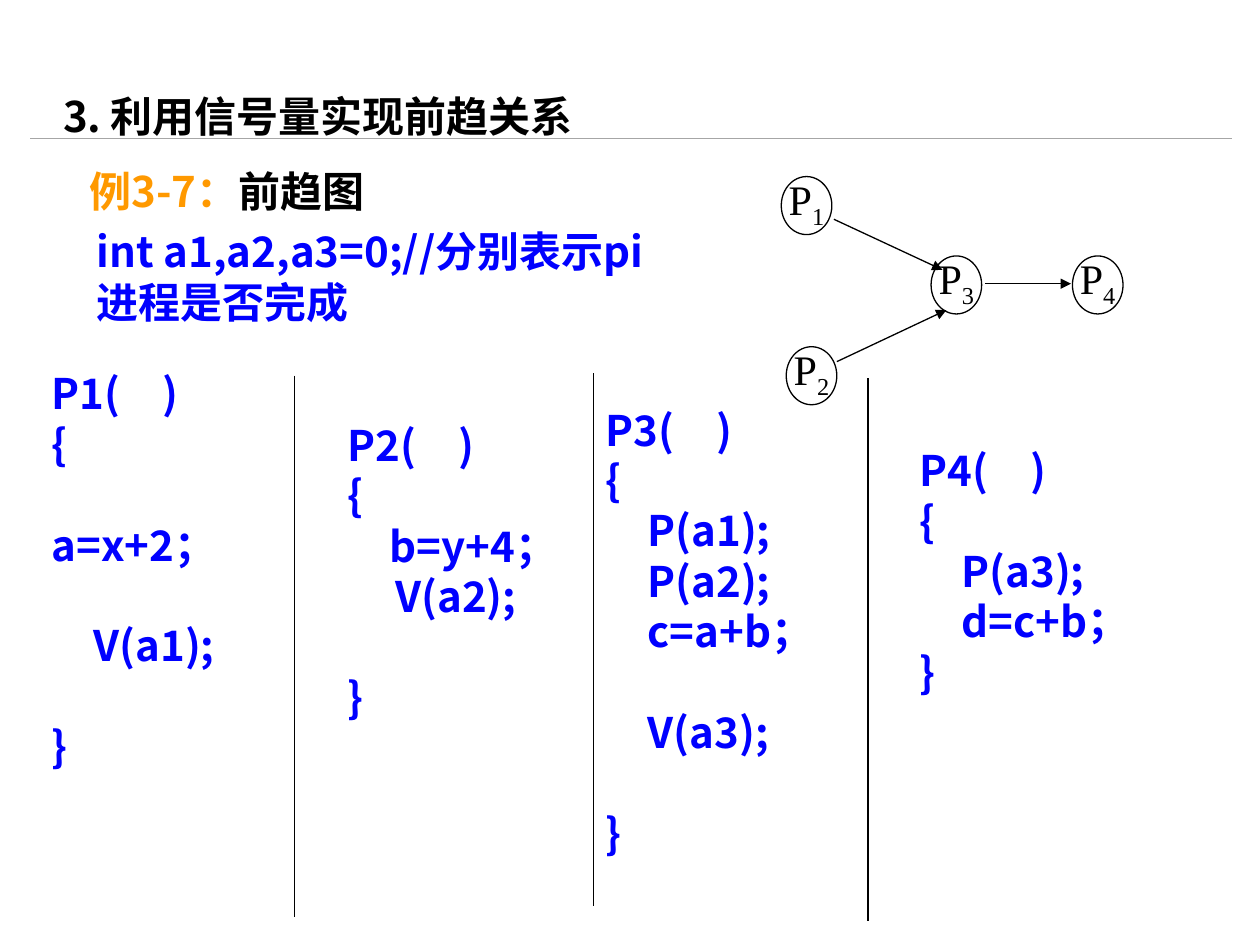
from dataclasses import dataclass

from lxml import etree
from pptx import Presentation
from pptx.dml.color import RGBColor
from pptx.enum import shapes, text
from pptx.oxml.ns import qn
from pptx.util import Cm, Pt

COLORS = {"black": "000000", "blue": "0000FF", "orange": "FF9900",
          "gray": "A6A6A6", "white": "FFFFFF"}
SANS = "Noto Sans CJK SC"
SERIF = "Times New Roman"
LINE = 28.8  # line pitch of the sans text, in points
DROP = 0.1   # lowers the sans text to its baseline, in cm


@dataclass
class Line:
    code: str
    skip: int = 0  # empty lines above


@dataclass
class Process:
    left: float
    top: float
    width: float
    height: float
    lines: list[Line]


@dataclass
class Node:
    number: str
    left: float
    top: float


@dataclass
class Segment:
    x1: float
    y1: float
    x2: float
    y2: float
    color: str = "black"
    arrow: bool = False


PROCESSES = [
    Process(0.79, 7.19, 4.8, 8.38, [
        Line("P1(　)"), Line("{"), Line("a=x+2；", 1), Line("　V(a1);", 1), Line("}", 1)]),
    Process(6.76, 8.74, 6.17, 5.33, [
        Line("P2(　)"), Line("{"), Line("　b=y+4；"), Line("     V(a2);"), Line("}", 1)]),
    Process(11.96, 7.92, 6.81, 9.4, [
        Line("P3(　)"), Line("{"), Line("　P(a1);"), Line("　P(a2);"),
        Line("　c=a+b；"), Line("　V(a3);", 1), Line("}", 1)]),
    Process(18.29, 7.72, 5.82, 7.37, [
        Line("P4(　)"), Line("{"), Line("　P(a3);"), Line("　d=c+b；"), Line("}")]),
]
NODES = [Node("1", 15.75, 3.56), Node("2", 15.85, 6.99),
         Node("3", 18.77, 5.16), Node("4", 21.62, 5.16)]
SEGMENTS = [
    Segment(0.61, 2.79, 24.84, 2.79, "gray"),
    Segment(16.81, 4.42, 19, 5.44, arrow=True),
    Segment(16.87, 7.29, 19.08, 6.25, arrow=True),
    Segment(19.86, 5.72, 21.59, 5.72, arrow=True),
    Segment(5.94, 7.57, 5.94, 18.49),
    Segment(11.96, 7.52, 11.96, 18.26),
    Segment(17.5, 7.62, 17.5, 18.57),
]


def rgb(name: str) -> RGBColor:
    return RGBColor.from_string(COLORS[name])


def place(shape, left: float, top: float, width: float, height: float) -> None:
    shape.left, shape.top, shape.width, shape.height = map(Cm, (left, top, width, height))


def prepare(shape, *, anchor=text.MSO_ANCHOR.MIDDLE, left_inset: float = 0.25):
    frame = shape.text_frame
    frame.word_wrap = True
    frame.auto_size = text.MSO_AUTO_SIZE.NONE
    frame.vertical_anchor = anchor
    frame.margin_left, frame.margin_right = Cm(left_inset), Cm(0.25)
    frame.margin_top = frame.margin_bottom = Cm(0.13)
    return frame


def write(paragraph, content: str, *, color: str = "black", font: str = SANS,
          bold: bool = True, baseline: int = 0) -> None:
    run = paragraph.add_run()
    run.text = content
    run.font.size = Pt(24)
    run.font.bold = bold
    run.font.name = font
    run.font.color.rgb = rgb(color)
    etree.SubElement(run.font._element, qn("a:ea")).set("typeface", font)
    if baseline:
        run.font._element.set("baseline", str(baseline))


def space(paragraph, skip: int = 0) -> None:
    """Left-align without bullet, with fixed line pitch and skipped lines above."""
    properties = paragraph._p.get_or_add_pPr()
    properties.set("marL", "0")
    properties.set("indent", "0")
    etree.SubElement(properties, qn("a:buNone"))
    paragraph.alignment = text.PP_ALIGN.LEFT
    paragraph.line_spacing = Pt(LINE)
    paragraph.space_before = Pt(LINE * skip)
    paragraph.space_after = Pt(0)


def draw_process(slide, process: Process) -> None:
    box = slide.shapes.add_textbox(0, 0, 0, 0)
    place(box, process.left, process.top + DROP, process.width, process.height)
    frame = prepare(box)
    for index, line in enumerate(process.lines):
        paragraph = frame.add_paragraph() if index else frame.paragraphs[0]
        space(paragraph, line.skip)
        write(paragraph, line.code, color="blue")


def draw_node(slide, node: Node) -> None:
    circle = slide.shapes.add_shape(shapes.MSO_SHAPE.OVAL, 0, 0, 0, 0)
    place(circle, node.left, node.top, 1.02, 1.17)
    circle.shadow.inherit = False
    circle.fill.solid()
    circle.fill.fore_color.rgb = rgb("white")
    circle.line.color.rgb = rgb("black")
    circle.line.width = Pt(0.75)
    label = slide.shapes.add_textbox(0, 0, 0, 0)
    place(label, node.left - 0.1, node.top - 0.2, 1.73, 1.57)
    paragraph = prepare(label, anchor=text.MSO_ANCHOR.TOP).paragraphs[0]
    paragraph.alignment = text.PP_ALIGN.JUSTIFY
    write(paragraph, "P", font=SERIF, bold=False)
    write(paragraph, node.number, font=SERIF, bold=False, baseline=-25000)


def draw_segment(slide, segment: Segment) -> None:
    ends = map(Cm, (segment.x1, segment.y1, segment.x2, segment.y2))
    connector = slide.shapes.add_connector(shapes.MSO_CONNECTOR.STRAIGHT, *ends)
    connector.line.color.rgb = rgb(segment.color)
    connector.line.width = Pt(0.75)
    if segment.arrow:
        etree.SubElement(connector.line._get_or_add_ln(), qn("a:tailEnd")).set("type", "triangle")
    etree.SubElement(connector._element.spPr, qn("a:effectLst"))


def main() -> None:
    deck = Presentation()
    deck.slide_width, deck.slide_height = Cm(25.4), Cm(19.05)
    slide = deck.slides.add_slide(deck.slide_layouts[1])

    heading = slide.shapes.title
    place(heading, 0, 1.6 + DROP, 12.62, 1.27)
    paragraph = prepare(heading, left_inset=1.27).paragraphs[0]
    space(paragraph)
    write(paragraph, "3. 利用信号量实现前趋关系")

    declaration = slide.placeholders[1]
    place(declaration, 1.7, 4.32 + DROP, 12.1, 2.29)
    paragraph = prepare(declaration).paragraphs[0]
    space(paragraph)
    write(paragraph, "int a1,a2,a3=0;//分别表示pi进程是否完成", color="blue")

    example = slide.shapes.add_textbox(0, 0, 0, 0)
    place(example, 1.55, 3.1 + DROP, 6.6, 1.27)
    paragraph = prepare(example).paragraphs[0]
    space(paragraph)
    write(paragraph, "例3-7：", color="orange")
    write(paragraph, "前趋图")

    for node in NODES:
        draw_node(slide, node)
    for process in PROCESSES:
        draw_process(slide, process)
    for segment in SEGMENTS:
        draw_segment(slide, segment)
    deck.save("out.pptx")


if __name__ == "__main__":
    main()
